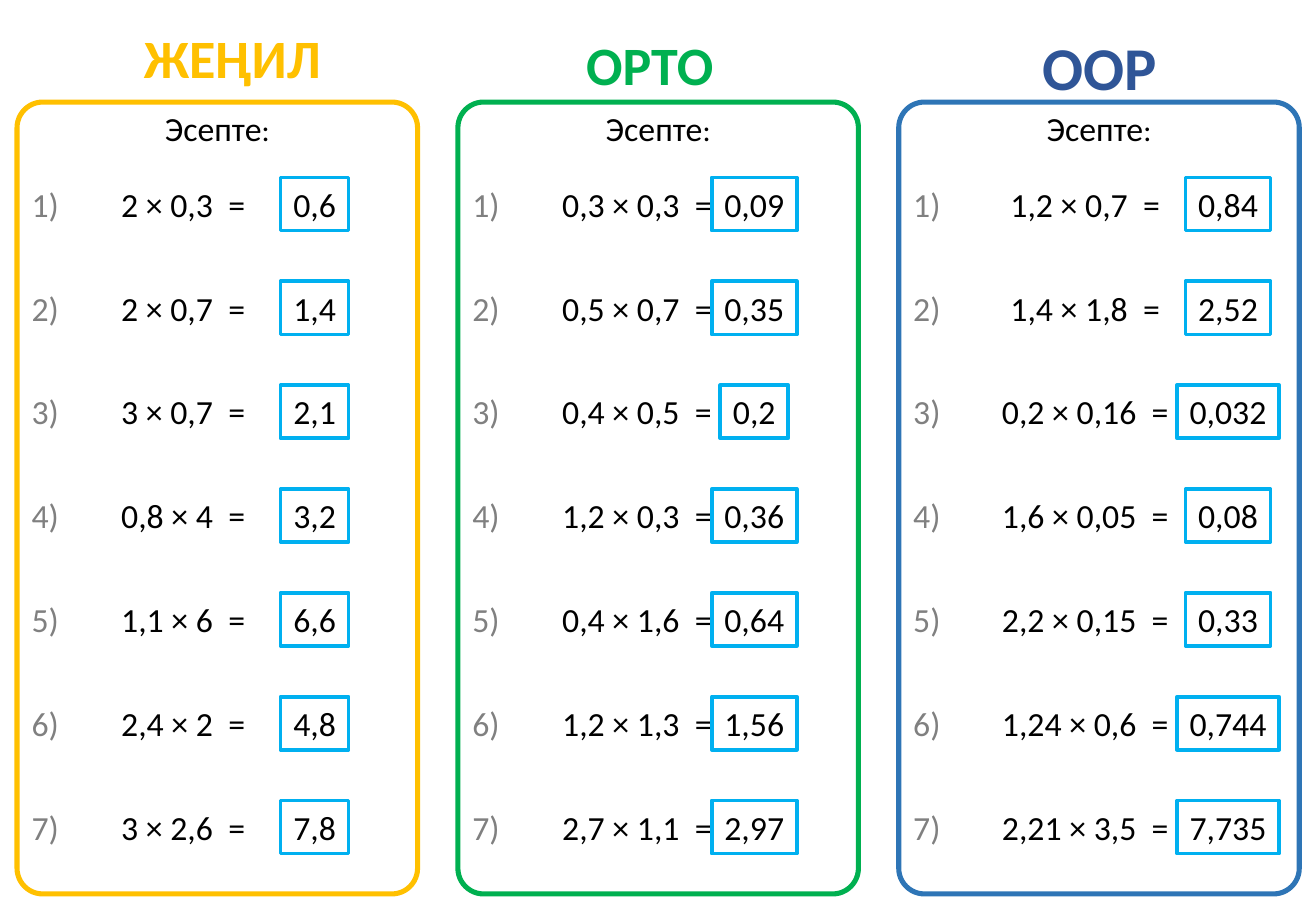
from dataclasses import dataclass
from pptx import Presentation
from pptx.dml.color import RGBColor
from pptx.enum.shapes import MSO_SHAPE as Shape
from pptx.enum.text import MSO_ANCHOR as Anchor, MSO_AUTO_SIZE as Auto, PP_ALIGN as Align
from pptx.util import Pt

PROMPT = ("Эсепте", ":")

LEVELS = [
    dict(title="ЖЕҢИЛ", size=32, color="FFC000", border="FFC000",
         title_box=(61.9, 10.8, 152, 46), task_center=109.1, answer_center=186.5,
         tasks=[("2 × 0,3", "0,6"), ("2 × 0,7", "1,4"), ("3 × 0,7", "2,1"),
                ("0,8 × 4", "3,2"), ("1,1 × 6", "6,6"), ("2,4 × 2", "4,8"),
                ("3 × 2,6", "7,8")]),
    dict(title="ОРТО", size=32, color="00B050", border="00B050",
         title_box=(338.4, 15.1, 93.6, 46), task_center=378, answer_center=447.1,
         tasks=[("0,3 × 0,3", "0,09"), ("0,5 × 0,7", "0,35"), ("0,4 × 0,5", "0,2"),
                ("1,2 × 0,3", "0,36"), ("0,4 × 1,6", "0,64"), ("1,2 × 1,3", "1,56"),
                ("2,7 × 1,1", "2,97")]),
    dict(title="ООР", size=36, color="2F5597", border="2E75B6",
         title_box=(600.5, 13.7, 103, 51.1), task_center=643.7, answer_center=727.9,
         tasks=[("1,2 × 0,7", "0,84"), ("1,4 × 1,8", "2,52"), ("0,2 × 0,16", "0,032"),
                ("1,6 × 0,05", "0,08"), ("2,2 × 0,15", "0,33"), ("1,24 × 0,6", "0,744"),
                ("2,21 × 3,5", "7,735")]),
]


@dataclass(frozen=True)
class Theme:
    font: str = "Calibri"
    body: int = 20
    colon: int = 18
    text: str = "000000"
    number: str = "808080"
    answer_line: str = "00B0F0"
    white: str = "FFFFFF"


T = Theme()
PANEL_LEFT, PANEL_TOP, PANEL_W, PANEL_H, PANEL_STEP = 10.1, 60.5, 237.4, 469.4, 261.3
ROW_TOP, ROW_STEP, ROW_H = 105.2, 61.55, 31.5
DIGIT_W, COMMA_W, INSET = 10.1, 5, 7.2

prs = Presentation()
prs.slide_width, prs.slide_height = Pt(780), Pt(540)
s = prs.slides.add_slide(prs.slide_layouts[6])


def numeral_width(text):
    return DIGIT_W * sum(c.isdigit() for c in text) + COMMA_W * text.count(",")


def box(left, top, width, height, kind=Shape.RECTANGLE, fill=None, line=None, weight=1):
    sp = s.shapes.add_shape(kind, Pt(left), Pt(top), Pt(width), Pt(height))
    sp.shadow.inherit = False
    if fill:
        sp.fill.solid()
        sp.fill.fore_color.rgb = RGBColor.from_string(fill)
    else:
        sp.fill.background()
    sp.line.color.rgb = RGBColor.from_string(line)
    sp.line.width = Pt(weight)
    return sp


def textbox(left, top, width, height):
    return s.shapes.add_textbox(Pt(left), Pt(top), Pt(width), Pt(height))


def write(sp, *runs, sizes=(T.body,), color=T.text, bold=False, align=Align.CENTER,
          wrap=False, anchor=Anchor.TOP, insets=(INSET, 3.6, INSET, 3.6)):
    tf = sp.text_frame
    tf.word_wrap = wrap
    tf.auto_size = Auto.SHAPE_TO_FIT_TEXT
    tf.vertical_anchor = anchor
    tf.margin_left, tf.margin_top, tf.margin_right, tf.margin_bottom = map(Pt, insets)
    p = tf.paragraphs[0]
    p.alignment = align
    for text, size in zip(runs, sizes):
        r = p.add_run()
        r.text = text
        r.font.name = T.font
        r.font.size = Pt(size)
        r.font.bold = bold
        r.font.color.rgb = RGBColor.from_string(color)


for i, level in enumerate(LEVELS):
    left = PANEL_LEFT + i * PANEL_STEP
    panel = box(left, PANEL_TOP, PANEL_W, PANEL_H, Shape.ROUNDED_RECTANGLE,
                line=level["border"], weight=3)
    panel.adjustments[0] = 0.064
    write(textbox(*level["title_box"]), level["title"], sizes=(level["size"],),
          color=level["color"], bold=True, wrap=True, anchor=Anchor.MIDDLE)
    write(textbox(left + PANEL_W / 2 - 39, PANEL_TOP, 78, ROW_H), *PROMPT,
          sizes=(T.body, T.colon))

    for row, (task, answer) in enumerate(level["tasks"]):
        top = ROW_TOP + row * ROW_STEP
        write(textbox(left, top + 3.6, 25.2, 24.3), f"{row + 1})", color=T.number,
              align=Align.LEFT, insets=(8.6, 0, 0, 0))
        width = numeral_width(task) + 53.3
        write(textbox(level["task_center"] - width / 2, top, width, ROW_H),
              f"{task}  =", align=Align.LEFT)
        width = numeral_width(answer) + 2 * INSET + 0.7
        write(box(level["answer_center"] - width / 2, top, width, ROW_H,
                  fill=T.white, line=T.answer_line, weight=2.25), answer)

prs.save("out.pptx")
